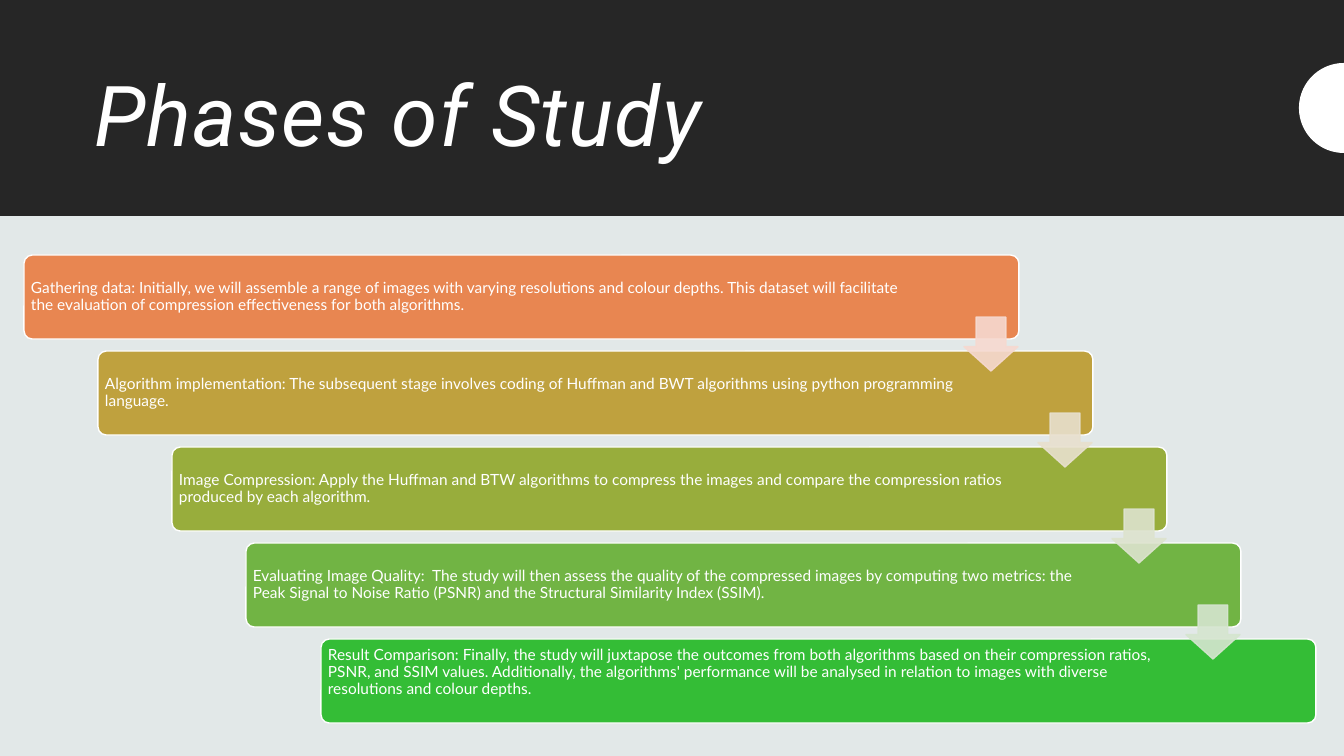
from math import cos, pi, sin

from lxml.etree import SubElement
from pptx import Presentation
from pptx.dml.color import RGBColor
from pptx.enum.shapes import MSO_SHAPE
from pptx.enum.text import MSO_ANCHOR, PP_ALIGN
from pptx.oxml.ns import qn
from pptx.util import Emu, Pt

SLIDE_WIDTH, SLIDE_HEIGHT = 1344, 756
BAND_HEIGHT = 216
BAR_COUNT_STEP_DOWN = 96
PHASES = [
    ("E88651", "F6D9D0", "Gathering data: Initially, we will assemble a range of images with varying "
     "resolutions and colour depths. This dataset will facilitate the evaluation of compression "
     "effectiveness for both algorithms."),
    ("BFA13E", "E8E0CE", "Algorithm implementation: The subsequent stage involves coding of Huffman "
     "and BWT algorithms using python programming language."),
    ("98AD3C", "DDE3CE", "Image Compression: Apply the Huffman and BTW algorithms to compress the "
     "images and compare the compression ratios produced by each algorithm."),
    ("71B444", "D5E5CF", "Evaluating Image Quality:  The study will then assess the quality of the "
     "compressed images by computing two metrics: the Peak Signal to Noise Ratio (PSNR) and the "
     "Structural Similarity Index (SSIM)."),
    ("34BD36", None, "Result Comparison: Finally, the study will juxtapose the outcomes from both "
     "algorithms based on their compression ratios, PSNR, and SSIM values. Additionally, the "
     "algorithms' performance will be analysed in relation to images with diverse resolutions and "
     "colour depths."),
]


def px(length):
    return Emu(round(length * 12192000 / SLIDE_WIDTH))


def paint(shape, fill, line=None):
    shape.shadow.inherit = False
    shape.fill.solid()
    shape.fill.fore_color.rgb = RGBColor.from_string(fill)
    if line:
        shape.line.color.rgb = RGBColor.from_string(line)
        shape.line.width = Pt(1)
    else:
        shape.line.fill.background()


# Slide and background
deck = Presentation()
deck.slide_width, deck.slide_height = px(SLIDE_WIDTH), px(SLIDE_HEIGHT)
page = deck.slides.add_slide(deck.slide_layouts[5])
page.background.fill.solid()
page.background.fill.fore_color.rgb = RGBColor.from_string("E2E8E8")
shapes = page.shapes

# Title on a dark band
title = shapes.title
band = shapes.add_shape(MSO_SHAPE.RECTANGLE, 0, 0, px(SLIDE_WIDTH), px(BAND_HEIGHT))
paint(band, "262626")
title.element.addprevious(band.element)
title.left, title.top, title.width, title.height = px(84), px(46), px(1176), px(146)
title.text_frame.vertical_anchor = MSO_ANCHOR.MIDDLE
para = title.text_frame.paragraphs[0]
para.alignment = PP_ALIGN.LEFT
para.line_spacing = 0.9
span = para.add_run()
span.text = "Phases of Study"
span.font.name, span.font.size, span.font.italic = "Roboto", Pt(60), True
span.font.color.rgb = RGBColor.from_string("FFFFFF")
span.font._element.set("spc", "100")

# Half disc at the right edge of the band
radius = 45
arc = [(px(SLIDE_WIDTH - radius * sin(pi * step / 50)),
        px(BAND_HEIGHT / 2 - radius * cos(pi * step / 50))) for step in range(51)]
builder = shapes.build_freeform(*arc[0])
builder.add_line_segments(arc[1:], close=True)
paint(builder.convert_to_shape(), "FFFFFF")

# Staircase of phase bars with their text
for index, (bar_color, arrow_color, wording) in enumerate(PHASES):
    left, top = 24 + 297 * index // 4, 255 + BAR_COUNT_STEP_DOWN * index
    bar = shapes.add_shape(MSO_SHAPE.ROUNDED_RECTANGLE, px(left), px(top), px(995), px(84))
    bar.adjustments[0] = 0.1
    paint(bar, bar_color, "FFFFFF")

    text_width = 894 if index == 0 else 861
    box = shapes.add_textbox(px(left + 2), px(top + 2), px(text_width), px(80))
    frame = box.text_frame
    frame.word_wrap = True
    frame.vertical_anchor = MSO_ANCHOR.MIDDLE
    frame.margin_left = frame.margin_right = frame.margin_top = px(5)
    frame.margin_bottom = px(5 if arrow_color else 22)
    para = frame.paragraphs[0]
    para.line_spacing = 0.9
    span = para.add_run()
    span.text = wording
    span.font.name, span.font.size = "Lato", Pt(11)
    span.font.color.rgb = RGBColor.from_string("FFFFFF")

# Translucent arrows from each phase to the next
for index, (bar_color, arrow_color, wording) in enumerate(PHASES[:-1]):
    left, top = 964 + 297 * index // 4, 317 + BAR_COUNT_STEP_DOWN * index
    arrow = shapes.add_shape(MSO_SHAPE.DOWN_ARROW, px(left), px(top), px(54), px(54))
    arrow.adjustments[0], arrow.adjustments[1] = 0.55, 0.45
    paint(arrow, arrow_color, arrow_color)
    for color in arrow.element.spPr.iter(qn("a:srgbClr")):
        SubElement(color, qn("a:alpha")).set("val", "90000")

deck.save("out.pptx")
